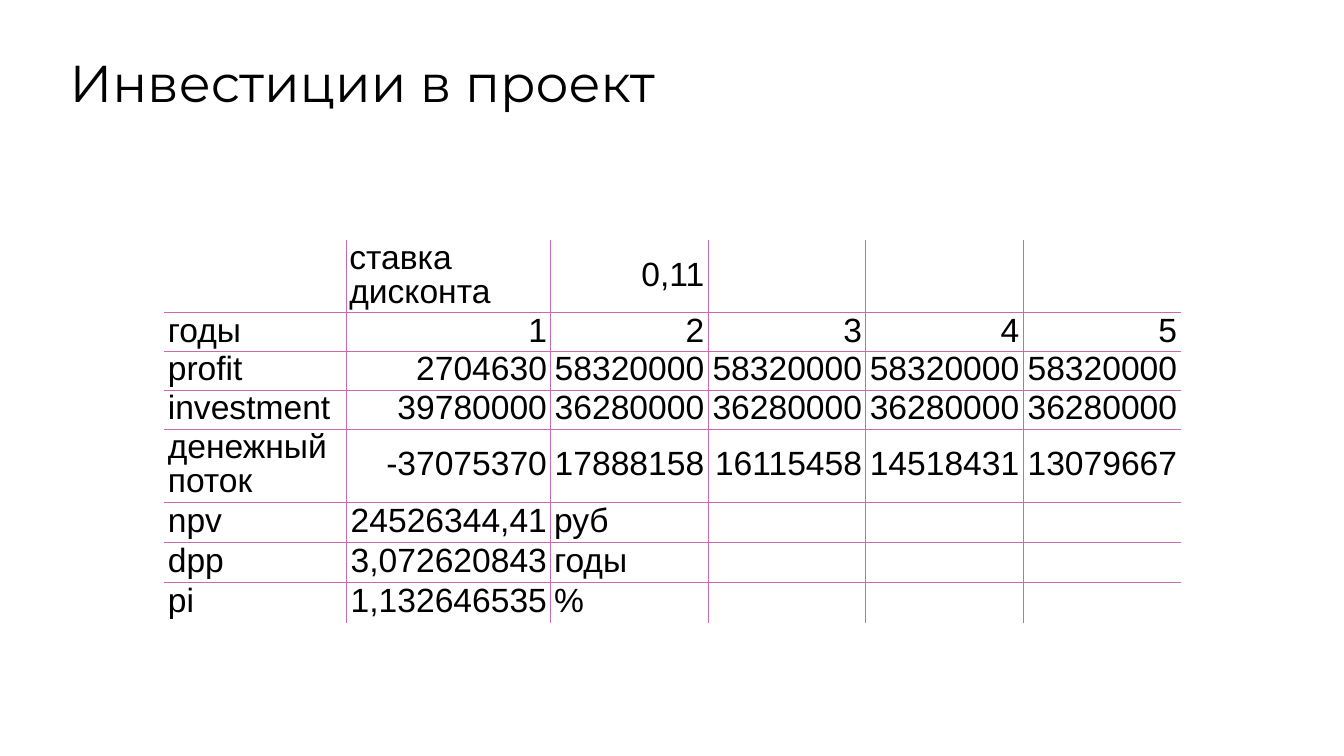
from lxml import etree
from pptx import Presentation
from pptx.dml.color import RGBColor
from pptx.enum.text import MSO_ANCHOR, MSO_AUTO_SIZE, PP_ALIGN
from pptx.oxml.ns import qn
from pptx.util import Inches, Pt

TOP, MIDDLE = MSO_ANCHOR.TOP, MSO_ANCHOR.MIDDLE
LEFT, RIGHT = PP_ALIGN.LEFT, PP_ALIGN.RIGHT
FIXED = MSO_AUTO_SIZE.NONE
BLACK, PINK = "000000", "CB69B0"
RULE = 0.45

COLS = [3.6, 4.06, 3.12, 3.13, 3.12, 3.13]
HEIGHTS = [1.44] + [0.72] * 3 + [1.44] + [0.8] * 3
ROWS = [
    ["", "ставка дисконта", "0,11", "", "", ""],
    ["годы", "1", "2", "3", "4", "5"],
    ["profit", "2704630"] + ["58320000"] * 4,
    ["investment", "39780000"] + ["36280000"] * 4,
    ["денежный поток", "-37075370", "17888158", "16115458", "14518431", "13079667"],
    ["npv", "24526344,41", "руб", "", "", ""],
    ["dpp", "3,072620843", "годы", "", "", ""],
    ["pi", "1,132646535", "%", "", "", ""],
]


def color(code):
    return RGBColor.from_string(code)


def write(frame, text, font, size, space, align):
    para = frame.paragraphs[0]
    para.alignment = align
    para.line_spacing = space
    para.space_before = Pt(0)
    run = para.add_run()
    run.text = text
    run.font.name = font
    run.font.size = Pt(size)
    run.font.color.rgb = color(BLACK)


def add_title(slide, box, text):
    title = slide.shapes.title
    title.left, title.top, title.width, title.height = map(Inches, box)
    frame = title.text_frame
    frame.word_wrap = True
    frame.auto_size = FIXED
    frame.vertical_anchor = TOP
    frame.margin_left = frame.margin_right = Inches(0.06)
    frame.margin_top = frame.margin_bottom = Inches(0.06)
    write(frame, text, "Montserrat", 74, 0.8, LEFT)


def set_edges(cell, shown):
    """Rule the inner sides of a cell; shown maps L, R, T, B to True or False."""
    props = cell._tc.get_or_add_tcPr()
    for place, (side, inner) in enumerate(shown.items()):
        line = etree.Element(qn(f"a:ln{side}"), w=str(Pt(RULE)))
        if inner:
            fill = etree.SubElement(line, qn("a:solidFill"))
            etree.SubElement(fill, qn("a:srgbClr"), val=PINK)
        else:
            etree.SubElement(line, qn("a:noFill"))
        props.insert(place, line)


def is_number(text):
    return text.lstrip("-").replace(",", "").isdigit()


def add_grid(slide, box, rows):
    table = slide.shapes.add_table(len(rows), len(COLS), *map(Inches, box)).table
    table.first_row = table.horz_banding = False
    for col, width in zip(table.columns, COLS):
        col.width = Inches(width)
    for row, height in zip(table.rows, HEIGHTS):
        row.height = Inches(height)
    for r, row in enumerate(rows):
        for c, text in enumerate(row):
            cell = table.cell(r, c)
            cell.fill.background()
            cell.vertical_anchor = MIDDLE
            cell.margin_left = cell.margin_right = Inches(0.07)
            cell.margin_top = cell.margin_bottom = Inches(0.05)
            set_edges(cell, {"L": c > 0, "R": c < len(COLS) - 1,
                             "T": r > 0, "B": r < len(rows) - 1})
            if text:
                align = RIGHT if is_number(text) else LEFT
                write(cell.text_frame, text, "Arial", 48, 0.9, align)


def main():
    deck = Presentation()
    deck.slide_width, deck.slide_height = Inches(26.66), Inches(15)
    slide = deck.slides.add_slide(deck.slide_layouts[5])
    add_title(slide, (1.32, 1.18, 24.03, 1.57), "Инвестиции в проект")
    add_grid(slide, (3.26, 4.76, sum(COLS), sum(HEIGHTS)), ROWS)
    deck.save("out.pptx")


if __name__ == "__main__":
    main()
